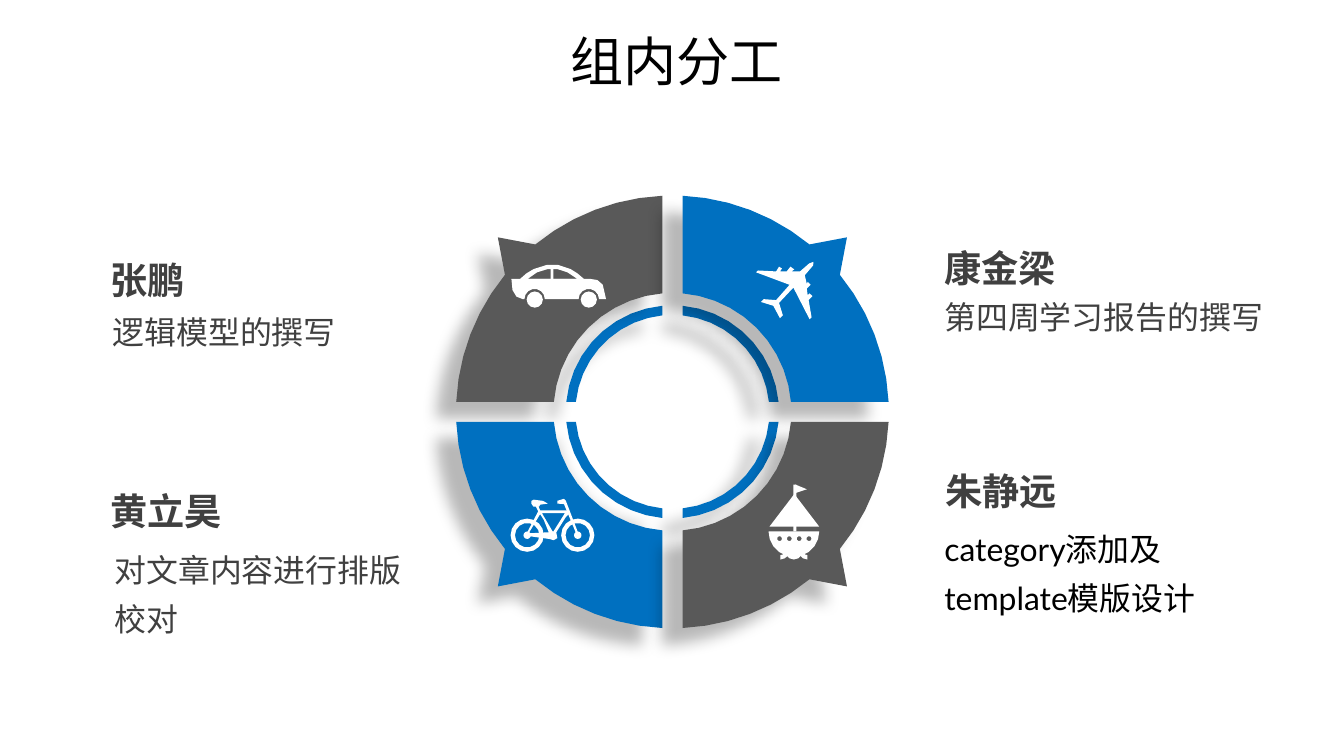
import math

import lxml.etree
import pptx
import pptx.dml.color
import pptx.enum.shapes
import pptx.enum.text
import pptx.oxml.ns
import pptx.util

Pt = pptx.util.Pt
RGBColor = pptx.dml.color.RGBColor
MSO_SHAPE = pptx.enum.shapes.MSO_SHAPE

BLUE = RGBColor(0x00, 0x70, 0xC0)
GRAY = RGBColor(0x59, 0x59, 0x59)
WHITE = RGBColor(0xFF, 0xFF, 0xFF)
BLACK = RGBColor(0x00, 0x00, 0x00)
TEXT_GRAY = RGBColor(0x40, 0x40, 0x40)
ARC_TOLERANCE = 0.25


def arc(x, y, radius, start, end):
    """Points on a circle, angles in degrees, clockwise from the right."""
    widest_step = math.degrees(2 * math.acos(1 - ARC_TOLERANCE / radius))
    steps = math.ceil(abs(end - start) / widest_step)
    angles = [math.radians(start + (end - start) * i / steps) for i in range(steps + 1)]
    return [(x + radius * math.cos(a), y + radius * math.sin(a)) for a in angles]


def band(x, y, outer, inner, start, end):
    return arc(x, y, outer, start, end) + arc(x, y, inner, end, start)


# ---- Content ----
TITLE = "组内分工"
TITLE_BOX = (326.2, 18, 367.2, 55.4)

# name, its left and top; task, its left, top, width, height and colour
MEMBERS = [
    ("张鹏", 76.3, 180, "逻辑模型的撰写", 77.8, 223.2, 249.8, 45.4, TEXT_GRAY),
    ("康金梁", 704.2, 171.4, "第四周学习报告的撰写", 704.2, 212.4, 261.4, 45.4, TEXT_GRAY),
    ("黄立昊", 76.3, 354.2, "对文章内容进行排版校对", 79.2, 402.5, 249.8, 83.5, TEXT_GRAY),
    ("朱静远", 704.9, 339.1, "category添加及template模版设计", 704.2, 386.6, 244.1, 83.5, BLACK),
]
NAME_SIZE = (186.5, 51.8)

CENTER = (506.5, 310.3)
HALF_GAP = 7.6
OUTER_RING = (163, 89.6)
INNER_RING = (80.3, 73.1)
POINTER_TIP = 131.5
POINTER_ANGLES = (39.3, 50.7)
QUADRANTS = [(-1, -1, GRAY), (-1, 1, BLUE), (1, -1, BLUE), (1, 1, GRAY)]

# Each icon: outlines (lists of contours), circles (x, y, radius), bars (left, top, width, height)
CAR = {
    "outlines": [
        [[(385.2, 210.2), (445, 210.2), (450, 211), (454, 214.5), (456.5, 225.4)]
         + arc(443.5, 225.4, 7.7, 0, -180) + arc(402.7, 225.4, 7.7, 0, -180)
         + [(393.8, 225.4), (389, 223.5), (386, 218.5)]],
        [[(391.7, 210.2), (396.5, 206), (402, 202.7), (411.8, 199.6), (420.5, 199.6),
          (429.8, 202.7), (435, 206), (439.9, 210.2), (442.1, 213.8), (389.5, 213.8)],
         [(397.4, 210.2), (404.5, 205.2), (412.6, 202.7), (419.8, 202.7), (427.5, 205.2),
          (434.9, 210.2)]],
    ],
    "circles": [(402.8, 225.7, 6.1), (443.5, 225.7, 6.1)],
    "bars": [(414.7, 200.2, 2.2, 11.5)],
}
PLANE = {
    "outlines": [
        [[(612.7, 197.3), (612.5, 200), (606.2, 207.4), (607.7, 213.8), (608.4, 212.4),
          (610.6, 214.6), (607.7, 217.4), (608.4, 222.5), (609.8, 221), (612, 223.2),
          (609.1, 226.1), (611.3, 239), (609.8, 240.5), (597.6, 216.7), (586.8, 228.2),
          (589.7, 237.6), (587.5, 239.8), (582.5, 230.4), (573.1, 227.5), (575.3, 225.4),
          (584.6, 226.1), (594.7, 214.6), (569.5, 205.2), (571, 203.8), (584.6, 204.5),
          (586.8, 200.9), (589, 202.3), (587.5, 204.5), (592.6, 204.5), (595.4, 200.9),
          (598.3, 203), (596.2, 204.5), (602.6, 204.5), (609.5, 198.5)]],
    ],
}
BIKE_WHEELS = [(397.1, 403.2), (435.2, 403.2)]
BIKE = {
    "outlines": [[arc(x, y, 12.5, 0, 360), arc(x, y, 9.2, 0, 360)] for x, y in BIKE_WHEELS] + [
        [[(435.6, 401.8), (426.2, 377.3), (424.8, 375.8), (419.8, 377.3), (419.8, 379.4),
          (424.8, 379.8), (434.2, 402.5)]],
        [[(428.4, 384.5), (406.8, 384.5), (404.6, 378.7), (403.2, 380.9), (405.4, 385.2),
          (396.7, 401.8), (398.2, 403.9), (414, 406.1), (417, 407), (419.8, 405.4),
          (419, 401), (426.2, 389.5), (429.1, 386.6)],
         [(398.2, 401.8), (406.8, 387.4), (409.5, 391.5), (413.3, 401)],
         [(416.9, 400.3), (416.2, 400.3), (408.2, 386.6), (425.5, 386.6)]],
        [[(412.6, 379.4), (409, 377.3), (402, 376.4), (400.3, 377.3), (400.3, 379.5),
          (401.8, 381.6), (406.1, 381.6), (406.8, 380.2)]],
    ],
    "circles": [(x, y, 2.8) for x, y in BIKE_WHEELS],
}
BOAT = {
    "outlines": [
        [arc(598, 400.3, 19.1, 0, 180)]
        + [arc(587.2 + 7.4 * i, 405.8, 1.9, 0, 360) for i in range(4)],
        [[(598.3, 372.2), (579.6, 396.7), (617, 396.7)]],
        [[(599, 365), (607.7, 368.6), (599, 371.5)]],
        [band(587.9, 414.7, 6.8, 3.5, 0, 90)],
        [band(598, 414.7, 6.8, 3.5, 0, 180)],
        [band(608.1, 414.7, 6.8, 3.5, 90, 180)],
    ],
    "bars": [(597.6, 365, 2.2, 35.3)],
}
ICONS = [CAR, PLANE, BIKE, BOAT]


# ---- Drawing ----
def paint(shape, color):
    shape.fill.solid()
    shape.fill.fore_color.rgb = color
    shape.line.fill.background()
    shape.shadow.inherit = False


def add_outline(shapes, contours, color):
    contours = [[(Pt(x), Pt(y)) for x, y in contour] for contour in contours]
    builder = shapes.build_freeform(*contours[0][0])
    builder.add_line_segments(contours[0][1:], close=True)
    for contour in contours[1:]:
        builder.move_to(*contour[0])
        builder.add_line_segments(contour[1:], close=True)
    shape = builder.convert_to_shape()
    paint(shape, color)
    return shape


def add_shadow(shape):
    qn = pptx.oxml.ns.qn
    effects = shape._element.spPr.find(qn("a:effectLst"))
    shadow = lxml.etree.SubElement(
        effects, qn("a:outerShdw"), blurRad=str(Pt(11.8)), dist=str(Pt(19.7)),
        dir=str(141 * 60000), algn="ctr", rotWithShape="0")
    color = lxml.etree.SubElement(shadow, qn("a:srgbClr"), val="000000")
    lxml.etree.SubElement(color, qn("a:alpha"), val="28000")


def quadrant(radii, side_x, side_y, pointer=False):
    """Contour of a quarter ring, cut parallel to the axes at the gap."""
    outer, inner = radii
    start, inner_start = (math.degrees(math.asin(HALF_GAP / r)) for r in radii)
    if pointer:
        low, high = POINTER_ANGLES
        points = (arc(0, 0, outer, start, low) + [(POINTER_TIP, POINTER_TIP)]
                  + arc(0, 0, outer, high, 90 - start))
    else:
        points = arc(0, 0, outer, start, 90 - start)
    points += arc(0, 0, inner, 90 - inner_start, inner_start)
    return [(CENTER[0] + side_x * x, CENTER[1] + side_y * y) for x, y in points]


def add_icon(slide, icon):
    shapes = slide.shapes.add_group_shape().shapes
    for contours in icon["outlines"]:
        add_outline(shapes, contours, WHITE)
    for x, y, radius in icon.get("circles", []):
        box = (x - radius, y - radius, 2 * radius, 2 * radius)
        paint(shapes.add_shape(MSO_SHAPE.OVAL, *map(Pt, box)), WHITE)
    for box in icon.get("bars", []):
        paint(shapes.add_shape(MSO_SHAPE.RECTANGLE, *map(Pt, box)), WHITE)


def format_text(paragraph, font_name, size, color, bold=False):
    font = paragraph.runs[0].font
    font.name, font.size, font.bold = font_name, Pt(size), bold
    font.color.rgb = color


def add_label(slide, text, box, size, color, bold=False):
    frame = slide.shapes.add_textbox(*map(Pt, box)).text_frame
    frame.word_wrap = True
    frame.auto_size = pptx.enum.text.MSO_AUTO_SIZE.SHAPE_TO_FIT_TEXT
    frame.text = text
    frame.paragraphs[0].line_spacing = 1.3
    format_text(frame.paragraphs[0], "Lato", size, color, bold)


def main():
    presentation = pptx.Presentation()
    presentation.slide_width, presentation.slide_height = Pt(1012.3), Pt(569.5)
    slide = presentation.slides.add_slide(presentation.slide_layouts[5])

    title = slide.shapes.title
    title.left, title.top, title.width, title.height = map(Pt, TITLE_BOX)
    title.text_frame.text = TITLE
    title.text_frame.paragraphs[0].alignment = pptx.enum.text.PP_ALIGN.CENTER
    format_text(title.text_frame.paragraphs[0], "Calibri", 40, BLACK)

    thin_ring = [quadrant(INNER_RING, x, y) for x, y, _ in QUADRANTS]
    add_shadow(add_outline(slide.shapes, thin_ring, BLUE))
    for x, y, color in QUADRANTS:
        add_shadow(add_outline(slide.shapes, [quadrant(OUTER_RING, x, y, pointer=True)], color))
    for icon in ICONS:
        add_icon(slide, icon)

    for name, name_left, name_top, task, left, top, width, height, color in MEMBERS:
        add_label(slide, task, (left, top, width, height), 24, color)
        add_label(slide, name, (name_left, name_top, *NAME_SIZE), 28, TEXT_GRAY, bold=True)

    presentation.save("out.pptx")


if __name__ == "__main__":
    main()
